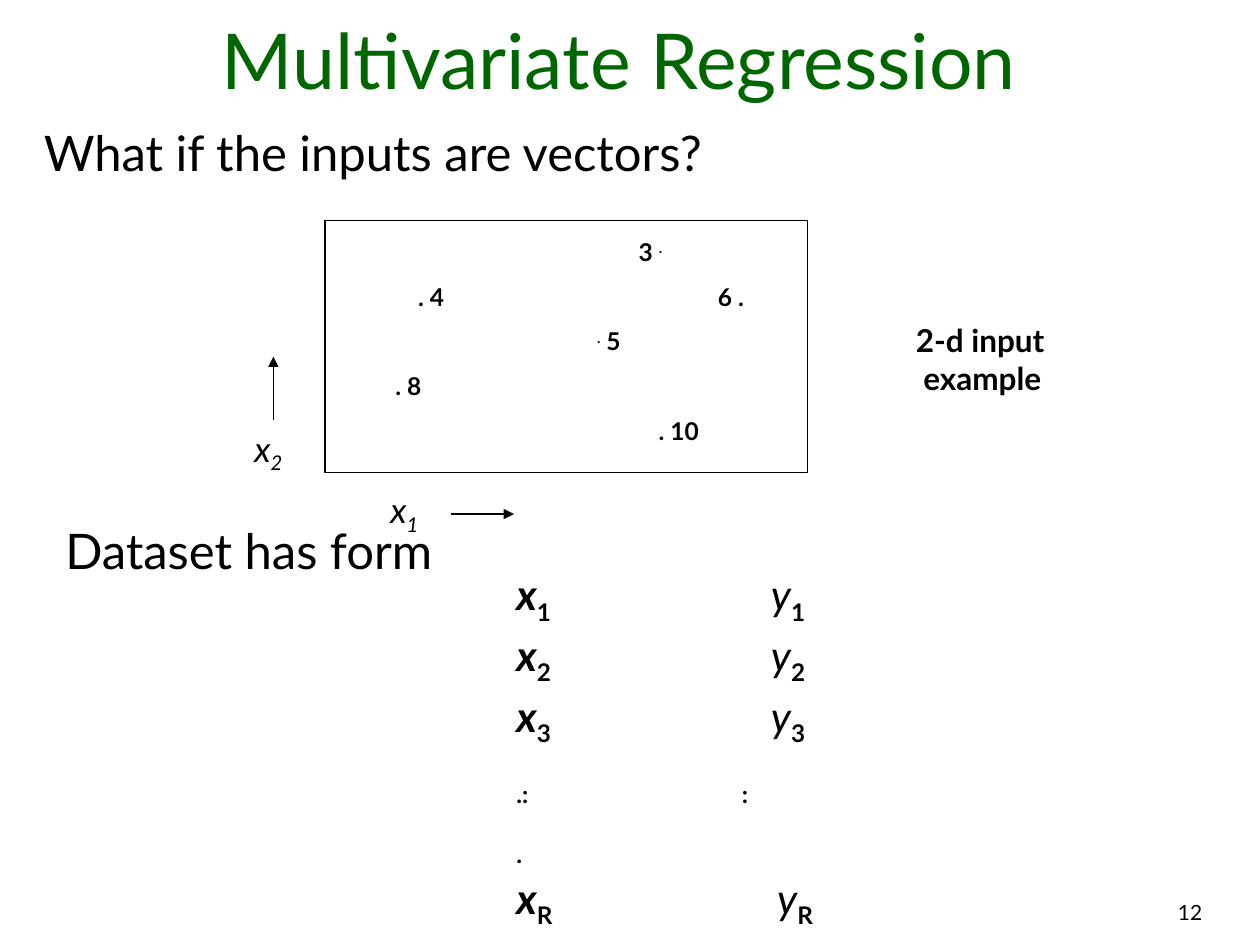
from lxml.etree import SubElement
from pptx import Presentation
from pptx.dml.color import RGBColor
from pptx.enum.shapes import MSO_CONNECTOR, MSO_SHAPE
from pptx.enum.text import MSO_ANCHOR, MSO_AUTO_SIZE, PP_ALIGN
from pptx.oxml.ns import qn
from pptx.util import Inches, Pt

FONT, BLACK, GREEN = "Lato", "000000", "006600"
TITLE = "Multivariate Regression"

# Runs are (text, style): b bold, i italic, - subscript, + superscript.
# Plain text boxes: place, size, space before, runs
LABELS = [
    ((0.25, 0.92, 9.38, 0.74), 28, 7, [("What if the inputs are vectors?", "")]),
    ((0.42, 4.08, 7.08, 0.57), 28, 17.5, [("Dataset has form", "")]),
    ((3, 3.83, 1.33, 0.48), 20, 12.5, [("x", "i"), ("1", "i-")]),
    ((1.92, 3.34, 0.5, 0.48), 20, 12.5, [("x", "i"), ("2", "i-")]),
]
NOTE = [("2-d input example", "b")]

# Plot lines: tab stops, runs
POINTS = [
    ([2.3], [("\t3 ", "b"), (".", "b+")]),
    ([0.55, 2.93], [("\t. 4\t6 .", "b")]),
    ([1.97], [("\t.", "b+"), (" 5", "b")]),
    ([0.37], [("\t. 8", "b")]),
    ([2.46], [("\t. 10", "b")]),
]
ARROWS = [(3.58, 4.08, 4.08, 4.08), (2.17, 3.33, 2.17, 2.83)]


def pair(sub, stop=2.02):
    return [stop], [("x", "bi"), (sub + "\t", "b-"), ("y", "i"), (sub, "b-")]


DATA = [pair("1"), pair("2"), pair("3"),
        ([1.79], [(".:\t:", "b-")]), ([], [(".", "b-")]), pair("R", 2.07)]


def color(code):
    return RGBColor.from_string(code)


def style(run, size, code=BLACK, marks=""):
    font = run.font
    font.name, font.size = FONT, Pt(size)
    font.bold, font.italic = "b" in marks, "i" in marks
    font.color.rgb = color(code)
    base = -25000 if "-" in marks else 30000 if "+" in marks else 0
    if base:
        font._element.set("baseline", str(base))


def add_text(slide, place, size, before, lines, spacing=None, hang=0):
    """Add a text box with one paragraph for each (tab stops, runs) line."""
    frame = slide.shapes.add_textbox(*map(Inches, place)).text_frame
    frame.word_wrap = True
    for n, (stops, runs) in enumerate(lines):
        par = frame.add_paragraph() if n else frame.paragraphs[0]
        par.space_before = Pt(before)
        if spacing:
            par.line_spacing = spacing
        props = par._p.get_or_add_pPr()
        if hang:
            props.set("marL", str(Inches(hang)))
            props.set("indent", str(-Inches(hang)))
        if stops:
            tabs = SubElement(props, qn("a:tabLst"))
            for stop in stops:
                SubElement(tabs, qn("a:tab"), pos=str(Inches(stop)), algn="l")
        for text, marks in runs:
            run = par.add_run()
            run.text = text
            style(run, size, marks=marks)
    return frame


def add_arrow(slide, ends):
    line = slide.shapes.add_connector(MSO_CONNECTOR.STRAIGHT, *map(Inches, ends))
    line.line.color.rgb = color(BLACK)
    line.line.width = Pt(0.75)
    SubElement(line.line._get_or_add_ln(), qn("a:tailEnd"), type="triangle")
    SubElement(line._element.spPr, qn("a:effectLst"))


def main():
    deck = Presentation()
    deck.slide_width, deck.slide_height = Inches(10), Inches(7.5)
    slide = deck.slides.add_slide(deck.slide_layouts[5])

    title = slide.shapes.title
    title.left, title.top, title.width, title.height = map(
        Inches, (0.25, 0.17, 9.33, 0.71))
    frame = title.text_frame
    frame.text = TITLE
    frame.auto_size = MSO_AUTO_SIZE.NONE
    frame.vertical_anchor = MSO_ANCHOR.BOTTOM
    frame.paragraphs[0].alignment = PP_ALIGN.CENTER
    style(frame.paragraphs[0].runs[0], 44, GREEN)

    for place, size, before, runs in LABELS:
        add_text(slide, place, size, before, [([], runs)])
    add_text(slide, (7.17, 2.5, 1.83, 0.7), 18, 11.2, [([], NOTE)], hang=0.06)
    add_text(slide, (4, 4.58, 3.58, 2.78), 24, 15, DATA, spacing=0.6)
    add_text(slide, (2.67, 1.83, 3.83, 1.76), 14, 8.8, POINTS)

    plot = slide.shapes.add_shape(
        MSO_SHAPE.RECTANGLE, *map(Inches, (2.58, 1.75, 3.83, 2)))
    plot.shadow.inherit = False
    plot.fill.background()
    plot.line.color.rgb = color(BLACK)
    plot.line.width = Pt(0.75)
    for ends in ARROWS:
        add_arrow(slide, ends)

    number = add_text(slide, (5.72, 7.09, 3.92, 0.33), 12, 7.5, [([], [("12", "")])])
    number.paragraphs[0].alignment = PP_ALIGN.RIGHT
    deck.save("out.pptx")


if __name__ == "__main__":
    main()
